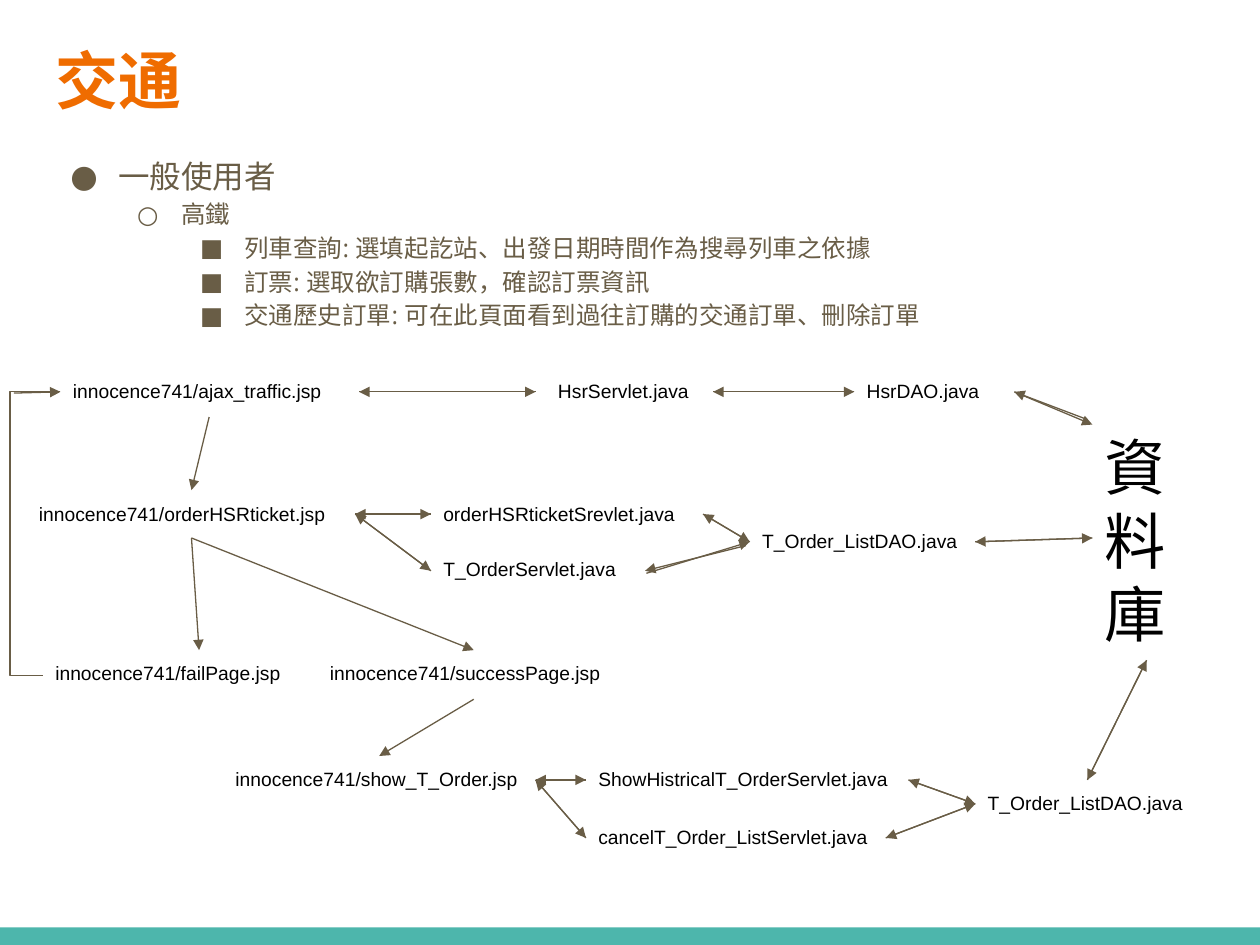
from dataclasses import dataclass

from lxml import etree
from pptx import Presentation
from pptx import util as u
from pptx.dml.color import RGBColor
from pptx.enum import shapes
from pptx.oxml.ns import qn


@dataclass
class Theme:
    brown: str = "695D46"
    orange: str = "EF6C00"
    teal: str = "4DB6AC"
    black: str = "000000"
    head: str = "Roboto Condensed"
    body: str = "Open Sans"
    code: str = "Arial"
    title: int = 36
    store: int = 35
    large: int = 18
    mid: int = 14
    small: int = 11
    line: float = 0.75


def add(node, tag, **attrs):
    return etree.SubElement(node, qn(tag), attrs)


def write(para, text, font, size, color, bold=False, left=0, hang=0,
          bullet=None, space=None):
    """Fill one paragraph; left and hang are inches."""
    props = para._p.get_or_add_pPr()
    if left:
        props.set("marL", str(u.Inches(left)))
        props.set("indent", str(u.Inches(-hang)))
    if bullet:
        add(add(props, "a:buClr"), "a:srgbClr", val=color)
        add(props, "a:buFont", typeface=font)
        add(props, "a:buChar", char=bullet)
    if space:
        para.line_spacing = space
    run = para.add_run()
    run.text = text
    run.font.name = font
    run.font.size = u.Pt(size)
    run.font.bold = bold
    run.font.color.rgb = RGBColor.from_string(color)
    add(run._r.get_or_add_rPr(), "a:ea", typeface=font)


class Deck:
    def __init__(self, theme):
        self.theme = theme
        self.file = Presentation()
        self.file.slide_width = u.Inches(10)
        self.file.slide_height = u.Inches(7.5)
        self.slide = self.file.slides.add_slide(self.file.slide_layouts[6])

    def bar(self, x, y, w, h):
        shape = self.slide.shapes.add_shape(
            shapes.MSO_SHAPE.RECTANGLE, *map(u.Inches, (x, y, w, h)))
        shape.shadow.inherit = False
        shape.fill.solid()
        shape.fill.fore_color.rgb = RGBColor.from_string(self.theme.teal)
        shape.line.fill.background()

    def box(self, x, y, w, h):
        frame = self.slide.shapes.add_textbox(
            *map(u.Inches, (x, y, w, h))).text_frame
        frame.word_wrap = True
        frame.margin_left = frame.margin_right = u.Inches(0.1)
        frame.margin_top = frame.margin_bottom = u.Inches(0.1)
        return frame

    def label(self, x, y, w, text, left=0):
        t = self.theme
        write(self.box(x, y, w, 0.38).paragraphs[0], text,
              t.code, t.small, t.black, left=left)

    def list(self, frame, items):
        t = self.theme
        # Left edge, hang, bullet and type size of each level
        levels = [(0.5, 0.38, "●", t.large), (1, 0.35, "○", t.mid),
                  (1.5, 0.35, "■", t.mid)]
        for i, (level, text) in enumerate(items):
            para = frame.add_paragraph() if i else frame.paragraphs[0]
            para.level = level
            left, hang, mark, size = levels[level]
            write(para, text, t.body, size, t.brown, left=left, hang=hang,
                  bullet=mark, space=1.15)

    def link(self, start, end, kind=shapes.MSO_CONNECTOR.STRAIGHT):
        line = self.slide.shapes.add_connector(
            kind, *map(u.Inches, (*start, *end)))
        line.line.width = u.Pt(self.theme.line)
        line.line.color.rgb = RGBColor.from_string(self.theme.brown)
        add(line._element.spPr, "a:effectLst")
        return line

    def arrow(self, start, end):
        line = self.link(start, end)
        add(line.line._get_or_add_ln(), "a:tailEnd", type="triangle")

    def both(self, start, end):
        self.arrow(start, end)
        self.arrow(end, start)

    def elbow(self, start, end, bend):
        """Bent line whose upright part stands at x = bend."""
        line = self.link(start, end, shapes.MSO_CONNECTOR.ELBOW)
        ratio = (bend - start[0]) / (end[0] - start[0])
        guides = line._element.spPr.find(qn("a:prstGeom")).find(qn("a:avLst"))
        add(guides, "a:gd", name="adj1", fmla=f"val {round(ratio * 100000)}")


def main():
    theme = Theme()
    deck = Deck(theme)

    # Footer bar, title and bullet list
    deck.bar(0, 7.36, 10, 0.14)
    write(deck.box(0.34, 0.23, 9.32, 1.03).paragraphs[0], "交通",
          theme.head, theme.title, theme.orange, bold=True)
    deck.list(deck.box(0.34, 1.1, 9.32, 4.82), [
        (0, "一般使用者"),
        (1, "高鐵"),
        (2, "列車查詢: 選填起訖站、出發日期時間作為搜尋列車之依據"),
        (2, "訂票: 選取欲訂購張數，確認訂票資訊"),
        (2, "交通歷史訂單: 可在此頁面看到過往訂購的交通訂單、刪除訂單"),
    ])

    # Files, row by row
    for x, y, w, text in [
        (0.48, 2.92, 2.38, "innocence741/ajax_traffic.jsp"),
        (6.78, 2.92, 1.28, "HsrDAO.java"),
        (0.21, 3.89, 2.61, "innocence741/orderHSRticket.jsp"),
        (3.42, 3.89, 2.16, "orderHSRticketSrevlet.java"),
        (3.42, 4.33, 1.7, "T_OrderServlet.java"),
        (5.95, 4.11, 1.79, "T_Order_ListDAO.java"),
        (0.34, 5.16, 2.48, "innocence741/failPage.jsp"),
        (2.52, 5.16, 2.48, "innocence741/successPage.jsp"),
        (1.77, 6, 2.48, "innocence741/show_T_Order.jsp"),
        (4.65, 6, 2.55, "ShowHistricalT_OrderServlet.java"),
        (4.65, 6.46, 2.38, "cancelT_Order_ListServlet.java"),
        (7.74, 6.19, 1.79, "T_Order_ListDAO.java"),
    ]:
        deck.label(x, y, w, text)
    deck.label(4.25, 2.92, 1.41, "HsrServlet.java", left=0.08)

    # Database
    write(deck.box(8.67, 3.31, 0.86, 1.94).paragraphs[0], "資料庫",
          theme.body, theme.store, theme.black)

    # Two-way calls
    order, dao = (2.82, 4.08), (5.95, 4.3)
    show, last = (4.25, 6.19), (7.74, 6.38)
    for start, end in [
        ((2.85, 3.11), (4.25, 3.11)),
        ((5.66, 3.11), (6.78, 3.11)),
        (order, (3.42, 4.08)),
        (order, (3.42, 4.53)),
        ((5.58, 4.08), dao),
        ((7.74, 4.3), (8.67, 4.27)),
        (show, (4.65, 6.19)),
        (show, (4.65, 6.65)),
        ((7.21, 6.19), last),
        ((7.03, 6.65), last),
        ((8.63, 6.19), (9.1, 5.24)),
    ]:
        deck.both(start, end)

    # One-way steps, and calls whose return runs beside them
    for start, end in [
        ((1.66, 3.31), (1.52, 3.89)),
        ((1.52, 4.27), (1.58, 5.16)),
        ((1.52, 4.27), (3.76, 5.16)),
        ((3.76, 5.55), (3.01, 6)),
        ((8.05, 3.11), (8.67, 3.37)),
        ((8.63, 3.33), (8.05, 3.11)),
        ((5.13, 4.55), dao),
        ((5.92, 4.33), (5.12, 4.53)),
        ((0.11, 3.12), (0.48, 3.11)),
    ]:
        deck.arrow(start, end)

    # Way back from the fail page
    deck.elbow((0.34, 5.36), (0.48, 3.11), bend=0.08)

    deck.file.save("out.pptx")


if __name__ == "__main__":
    main()
